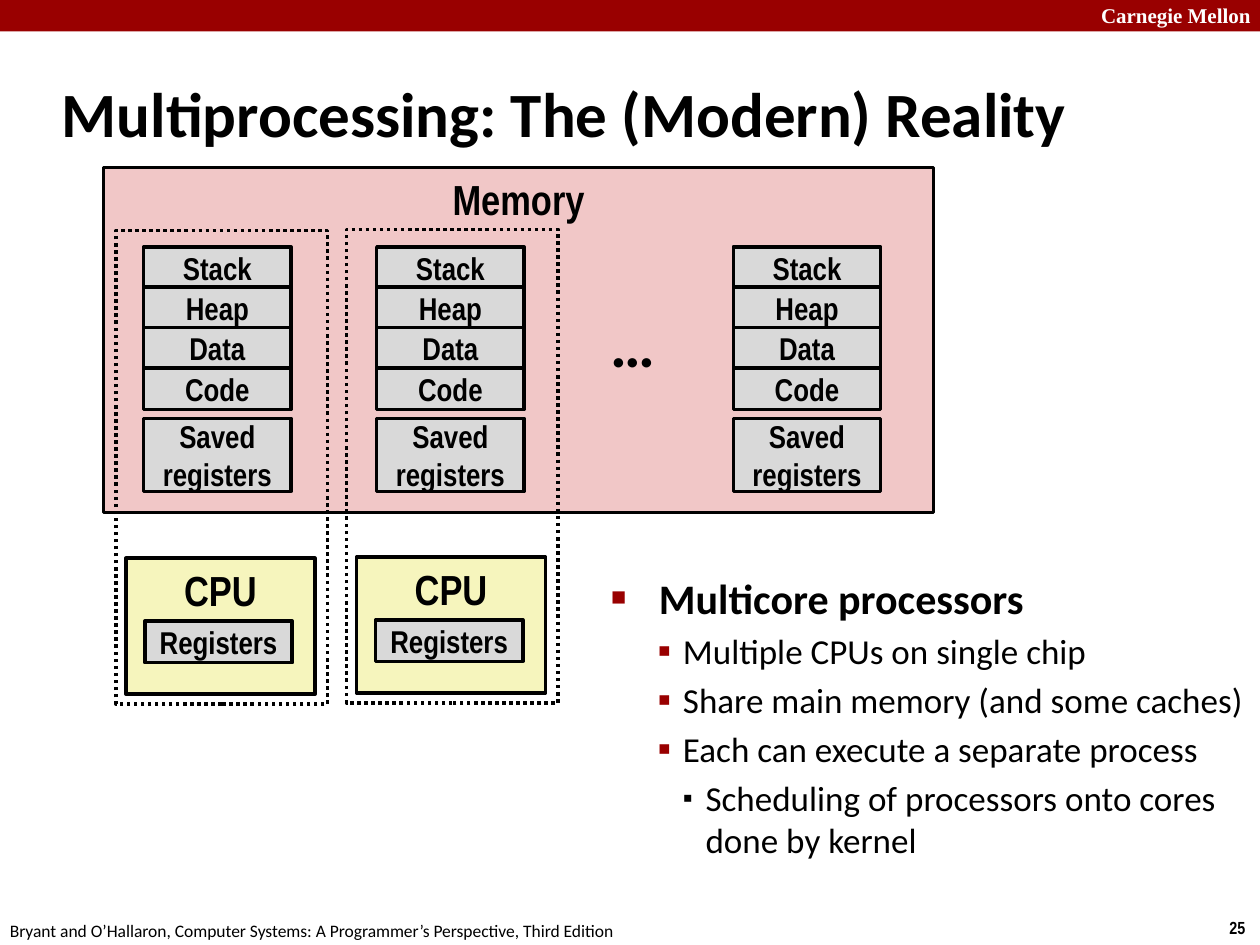
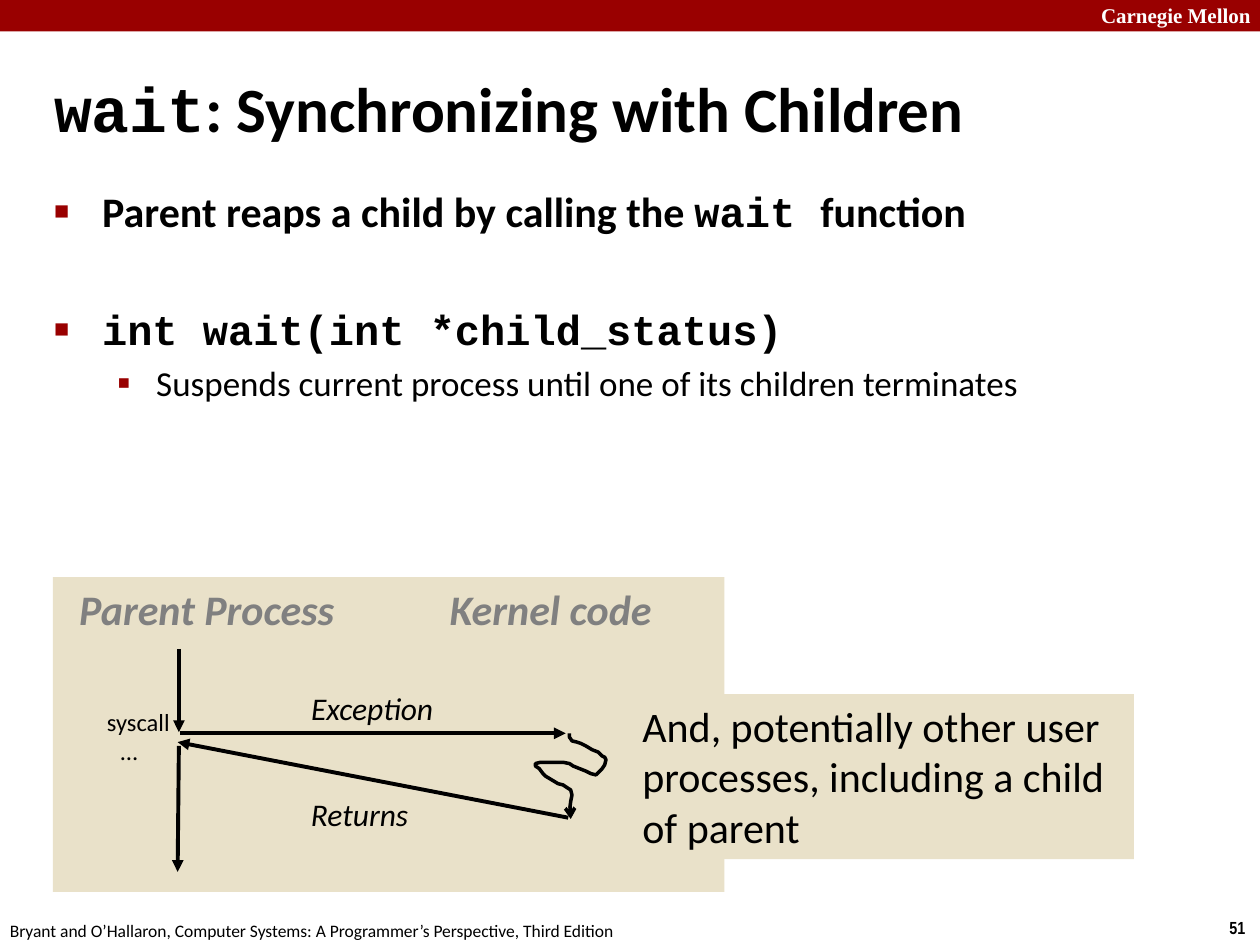
from lxml.etree import SubElement
from pptx import Presentation
from pptx.dml.color import RGBColor
from pptx.enum.dml import MSO_LINE
from pptx.enum.shapes import MSO_CONNECTOR, MSO_SHAPE
from pptx.enum.text import MSO_ANCHOR, MSO_AUTO_SIZE, PP_ALIGN
from pptx.oxml.ns import qn
from pptx.util import Inches, Pt

COLORS = {"band": "990000", "white": "FFFFFF", "ink": "000000", "muted": "808080",
          "memory": "F1C7C7", "segment": "D9D9D9", "cpu": "F6F5BD", "sand": "E9E1C9"}
SANS, NARROW, MONO, SERIF = "Calibri", "Arial Narrow", "Courier New", "Times New Roman"

# Shared parts
WIDTH, HEIGHT = 10, 7.5
BAND_HEIGHT = 0.25
SCHOOL = "Carnegie Mellon"
CREDIT = "Bryant and O’Hallaron, Computer Systems: A Programmer’s Perspective, Third Edition"

# Bullet styles: character, colour, percent of text size; then size, bold
HEAD = ("■", "band", 60, 24, True)
POINT = ("▪", "band", 110, 20, False)
DETAIL = ("▪", "ink", 80, 20, False)

# Slide content: runs are (text, font); list items are
# (level, style, text indent, hanging indent, space before, runs)
MULTICORE = {
    "number": "25",
    "title": [("Multiprocessing: The (Modern) Reality", SANS)],
    "title_at": (0.39, 0.48, 9.28, 0.83),
    "body_at": (4.75, 4.49, 5.42, 2.92),
    "body": [
        (0, HEAD, 0.38, 0.38, 0, [("Multicore processors", SANS)]),
        (1, POINT, 0.57, 0.2, 4, [("Multiple CPUs on single chip", SANS)]),
        (1, POINT, 0.57, 0.2, 4, [("Share main memory (and some caches)", SANS)]),
        (1, POINT, 0.57, 0.2, 4, [("Each can execute a separate process", SANS)]),
        (2, DETAIL, 0.75, 0.18, 4,
         [("Scheduling of processors onto cores done by kernel", SANS)]),
    ],
}
WAIT = {
    "number": "51",
    "title": [("wait", MONO), (": Synchronizing with Children", SANS)],
    "title_at": (0.33, 0.54, 9.08, 0.63),
    "body_at": (0.33, 1.42, 9.03, 2.42),
    "body": [
        (0, HEAD, 0.38, 0.38, 0, [("Parent reaps a child by calling the ", SANS),
                                  ("wait ", MONO), ("function", SANS)]),
        (0, HEAD, 0.38, 0.38, 39, [("int wait(int *child_status)", MONO)]),
        (1, POINT, 0.81, 0.31, 4,
         [("Suspends current process until one of its children terminates", SANS)]),
    ],
}

# Memory diagram
MEMORY_AT = (0.82, 1.33, 6.59, 2.74)
SEGMENTS = ["Stack", "Heap", "Data", "Code"]
SEGMENT_WIDTH, SEGMENT_HEIGHT, SEGMENT_STEP = 1.17, 0.33, 0.32
SEGMENT_TOP, SAVED_TOP, SAVED_HEIGHT = 1.96, 3.32, 0.58
PROCESS_LEFTS = [1.14, 2.99, 5.82]
CORE_COUNT, CORE_LEFT, CORE_TOP, CORE_STEP = 2, 0.92, 1.83, 1.83
CORE_SIZE, CPU_SIZE = (1.68, 3.76), (1.5, 1.08)

# System call diagram
PANEL_AT = (0.42, 4.58, 5.33, 2.5)
NOTE_AT = (5, 5.51, 4, 1.31)
NOTE = "And, potentially other user processes, including a child of parent"
CALL_LABELS = [  # text, place, size, colour, bold, italic
    ("Parent Process", (0.53, 4.58, 2.24, 0.5), 24, "muted", True, True),
    ("Kernel code", (3.47, 4.58, 1.95, 0.5), 24, "muted", True, True),
    ("Exception", (2.37, 5.42, 1.25, 0.4), 18, "ink", False, True),
    ("Returns", (2.37, 6.26, 1, 0.4), 18, "ink", False, True),
    ("syscall", (0.75, 5.56, 0.71, 0.34), 14, "ink", False, False),
    ("…", (0.86, 5.79, 0.35, 0.34), 14, "ink", False, False),
]
CALL_ARROWS = [((1.42, 5.15), (1.42, 5.81)), ((1.43, 5.82), (4.49, 5.82)),
               ((4.51, 6.49), (1.41, 5.89)), ((1.42, 5.92), (1.41, 6.92))]
KERNEL_PATH = [
    (4.52, 5.82), (4.52, 5.85), (4.54, 5.88), (4.58, 5.89), (4.61, 5.9), (4.65, 5.92),
    (4.7, 5.95), (4.75, 5.97), (4.78, 6), (4.8, 6.01), (4.81, 6.03), (4.8, 6.07),
    (4.78, 6.1), (4.75, 6.13), (4.73, 6.15), (4.69, 6.14), (4.65, 6.12), (4.6, 6.1),
    (4.55, 6.08), (4.52, 6.06), (4.47, 6.05), (4.41, 6.05), (4.29, 6.05), (4.25, 6.06),
    (4.25, 6.08), (4.28, 6.1), (4.31, 6.14), (4.33, 6.16), (4.38, 6.19), (4.43, 6.22),
    (4.47, 6.23), (4.5, 6.25), (4.53, 6.27), (4.54, 6.31), (4.53, 6.36), (4.52, 6.44),
    (4.52, 6.48), (4.53, 6.5)]


def color(name):
    return RGBColor.from_string(COLORS[name])


def inches(lengths):
    return [Inches(length) for length in lengths]


def place(shape, at):
    shape.left, shape.top, shape.width, shape.height = inches(at)


def add_runs(para, runs, size, ink="ink", bold=False, italic=False):
    for text, font in runs:
        span = para.add_run()
        span.text = text
        span.font.name, span.font.size = font, Pt(size)
        span.font.bold, span.font.italic = bold, italic
        span.font.color.rgb = color(ink)


def add_rect(page, at, fill=None, line=None):
    box = page.shapes.add_shape(MSO_SHAPE.RECTANGLE, *inches(at))
    box.shadow.inherit = False
    if fill:
        box.fill.solid()
        box.fill.fore_color.rgb = color(fill)
    else:
        box.fill.background()
    if line:
        box.line.color.rgb = color(line)
        box.line.width = Pt(2)
    else:
        box.line.fill.background()
    return box


def add_block(page, at, text, fill, size=18, anchor=MSO_ANCHOR.MIDDLE):
    """Outlined, filled rectangle with a centred bold caption."""
    box = add_rect(page, at, fill, "ink")
    box.text_frame.vertical_anchor = anchor
    para = box.text_frame.paragraphs[0]
    para.alignment = PP_ALIGN.CENTER
    add_runs(para, [(text, NARROW)], size, bold=True)


def add_label(page, at, text, size, font=SANS, wrap=False, **style):
    box = page.shapes.add_textbox(*inches(at))
    box.text_frame.word_wrap = wrap
    add_runs(box.text_frame.paragraphs[0], [(text, font)], size, **style)


def add_arrowhead(shape, kind):
    SubElement(shape.line._get_or_add_ln(), qn("a:tailEnd"), type=kind)


def add_bullet(para, style, indent, hanging):
    character, tint, percent = style[:3]
    properties = para._p.get_or_add_pPr()
    properties.set("marL", str(Inches(indent)))
    properties.set("indent", str(-Inches(hanging)))
    bullet_color = SubElement(properties, qn("a:buClr"))
    SubElement(bullet_color, qn("a:srgbClr"), val=COLORS[tint])
    SubElement(properties, qn("a:buSzPct"), val=str(percent * 1000))
    SubElement(properties, qn("a:buChar"), char=character)


def start_page(deck, content):
    """Add a slide with the band, footers, title and bulleted list."""
    page = deck.slides.add_slide(deck.slide_layouts[1])
    add_rect(page, (0, 0, WIDTH, BAND_HEIGHT), "band")
    add_label(page, (8.64, -0.03, 1.43, 0.3), SCHOOL, 12, SERIF, True,
              ink="white", bold=True)
    add_label(page, (9.66, 7.23, 0.34, 0.27), content["number"], 10, NARROW, bold=True)
    add_label(page, (-0.02, 7.25, 5.08, 0.27), CREDIT, 10)

    title, body = page.shapes.title, page.placeholders[1]
    place(title, content["title_at"])
    place(body, content["body_at"])
    for holder in (title, body):
        holder.text_frame.auto_size = MSO_AUTO_SIZE.NONE
    title.text_frame.vertical_anchor = MSO_ANCHOR.MIDDLE
    heading = title.text_frame.paragraphs[0]
    heading.alignment = PP_ALIGN.LEFT
    add_runs(heading, content["title"], 36, bold=True)

    frame = body.text_frame
    for index, (level, style, indent, hanging, gap, runs) in enumerate(content["body"]):
        para = frame.add_paragraph() if index else frame.paragraphs[0]
        para.level = level
        para.space_before = Pt(gap)
        add_bullet(para, style, indent, hanging)
        add_runs(para, runs, style[3], bold=style[4])
    return page


def draw_memory(page):
    add_block(page, MEMORY_AT, "Memory", "memory", 24, MSO_ANCHOR.TOP)
    for left in PROCESS_LEFTS:
        for row, name in enumerate(SEGMENTS):
            top = SEGMENT_TOP + row * SEGMENT_STEP
            add_block(page, (left, top, SEGMENT_WIDTH, SEGMENT_HEIGHT), name, "segment")
        add_block(page, (left, SAVED_TOP, SEGMENT_WIDTH, SAVED_HEIGHT),
                  "Saved registers", "segment")
    add_label(page, (4.75, 2.37, 0.56, 0.71), "…", 36, bold=True)


def draw_cores(page):
    for core in range(CORE_COUNT):
        left, top = CORE_LEFT + core * CORE_STEP, CORE_TOP - core * 0.01
        add_block(page, (left + 0.08, top + 2.6, *CPU_SIZE), "CPU", "cpu", 24,
                  MSO_ANCHOR.TOP)
        add_block(page, (left + 0.23, top + 3.1, SEGMENT_WIDTH, SEGMENT_HEIGHT),
                  "Registers", "segment")
        outline = add_rect(page, (left, top, *CORE_SIZE), line="ink")
        outline.line.dash_style = MSO_LINE.ROUND_DOT


def draw_system_call(page):
    add_rect(page, PANEL_AT, "sand")
    for text, at, size, ink, bold, italic in CALL_LABELS:
        add_label(page, at, text, size, ink=ink, bold=bold, italic=italic)
    for start, end in CALL_ARROWS:
        arrow = page.shapes.add_connector(MSO_CONNECTOR.STRAIGHT, *inches(start + end))
        arrow.line.color.rgb = color("ink")
        arrow.line.width = Pt(2.25)
        add_arrowhead(arrow, "triangle")
        SubElement(arrow._element.spPr, qn("a:effectLst"))

    points = [inches(point) for point in KERNEL_PATH]
    builder = page.shapes.build_freeform(*points[0])
    builder.add_line_segments(points[1:], close=False)
    squiggle = builder.convert_to_shape()
    squiggle.shadow.inherit = False
    squiggle.fill.background()
    squiggle.line.color.rgb = color("ink")
    squiggle.line.width = Pt(2)
    add_arrowhead(squiggle, "arrow")

    note = add_rect(page, NOTE_AT, "sand")
    note.text_frame.vertical_anchor = MSO_ANCHOR.TOP
    para = note.text_frame.paragraphs[0]
    para.alignment = PP_ALIGN.LEFT
    add_runs(para, [(NOTE, SANS)], 24)


def main():
    deck = Presentation()
    deck.slide_width, deck.slide_height = inches((WIDTH, HEIGHT))
    multicore_page = start_page(deck, MULTICORE)
    draw_memory(multicore_page)
    draw_cores(multicore_page)
    draw_system_call(start_page(deck, WAIT))
    deck.save("out.pptx")


if __name__ == "__main__":
    main()
